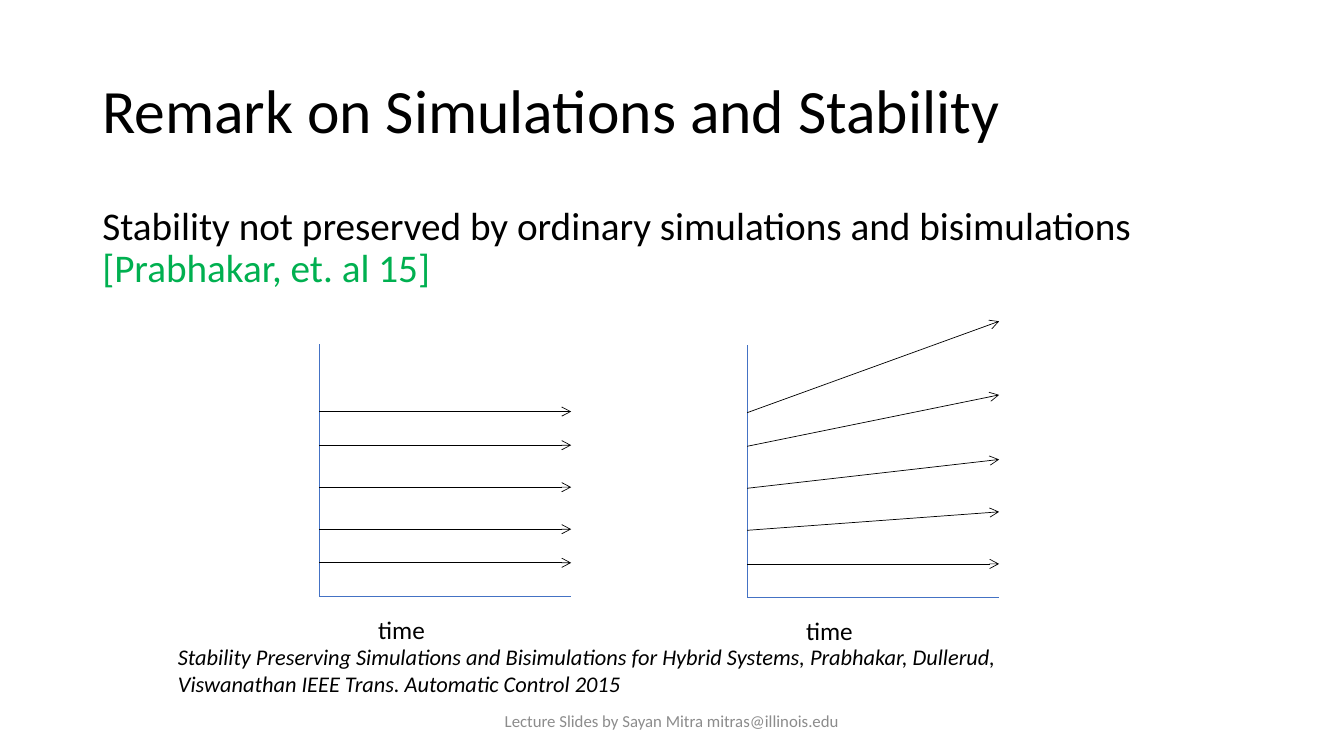
from lxml import etree
from pptx import Presentation
from pptx.dml.color import RGBColor
from pptx.enum.shapes import MSO_CONNECTOR
from pptx.enum.text import MSO_ANCHOR, PP_ALIGN
from pptx.oxml.ns import qn
from pptx.util import Pt

STRAIGHT = MSO_CONNECTOR.STRAIGHT
TOP, MIDDLE = MSO_ANCHOR.TOP, MSO_ANCHOR.MIDDLE
LEFT, CENTER = PP_ALIGN.LEFT, PP_ALIGN.CENTER

COLORS = {"text": "000000", "citation": "00B050", "axis": "4472C4", "footer": "8C8C8C"}
FONT = "Calibri"
PLOT_SIZE = 180
START_OFFSETS = [48, 72, 102, 132, 156]
DIVERGING_OFFSETS = [-17.3, 35.3, 81.4, 118.8, 156]


def add_text(page, box, spans, size, anchor=TOP, align=LEFT, spacing=1.0, italic=False, wrap=True):
    shape = page.shapes.add_textbox(*(Pt(length) for length in box))
    frame = shape.text_frame
    frame.word_wrap = wrap
    frame.vertical_anchor = anchor
    para = frame.paragraphs[0]
    para.alignment = align
    para.line_spacing = spacing
    for text, color in spans:
        span = para.add_run()
        span.text = text
        span.font.name = FONT
        span.font.size = Pt(size)
        span.font.italic = italic
        span.font.color.rgb = RGBColor.from_string(COLORS[color])


def add_line(page, start, end, color, arrow=False):
    line = page.shapes.add_connector(STRAIGHT, *(Pt(length) for length in (*start, *end)))
    line.line.color.rgb = RGBColor.from_string(COLORS[color])
    line.line.width = Pt(0.5)
    if arrow:
        etree.SubElement(line.line._get_or_add_ln(), qn("a:tailEnd"), type="arrow")
    etree.SubElement(line._element.spPr, qn("a:effectLst"))


def add_plot(page, left, top, end_offsets):
    right, bottom = left + PLOT_SIZE, top + PLOT_SIZE
    add_line(page, (left, top), (left, bottom), "axis")
    add_line(page, (left, bottom), (right, bottom), "axis")
    for start, end in zip(START_OFFSETS, end_offsets):
        add_line(page, (left, top + start), (right, top + end), "text", arrow=True)
    add_text(page, (left + 35, bottom + 9.5, 48, 29), [("time", "text")], 18, wrap=False)


def add_heading(page, left, top, width):
    add_text(page, (left, top, width, 104.4), [("Remark on Simulations and Stability", "text")],
             44, anchor=MIDDLE, spacing=0.9)
    add_text(page, (left, top + 115.2, width, 342.7),
             [("Stability not preserved by ordinary simulations and bisimulations ", "text"),
              ("[Prabhakar, et. al 15]", "citation")], 28, spacing=0.9)


def add_references(page, left, top):
    add_text(page, (left, top, 684.7, 46),
             [("Stability Preserving Simulations and Bisimulations for Hybrid Systems, Prabhakar, "
               "Dullerud, Viswanathan IEEE Trans. Automatic Control 2015", "text")],
             16, italic=True)
    add_text(page, (left + 198, top + 44.7, 324, 28.8),
             [("Lecture Slides by Sayan Mitra mitras@illinois.edu", "footer")],
             12, anchor=MIDDLE, align=CENTER)


def main():
    deck = Presentation()
    deck.slide_width, deck.slide_height = Pt(960), Pt(540)
    page = deck.slides.add_slide(deck.slide_layouts[6])
    add_heading(page, 66, 28.8, 828)
    add_plot(page, 228, 246, START_OFFSETS)
    add_plot(page, 533.7, 246.8, DIVERGING_OFFSETS)
    add_references(page, 120, 455.8)
    deck.save("out.pptx")


if __name__ == "__main__":
    main()
